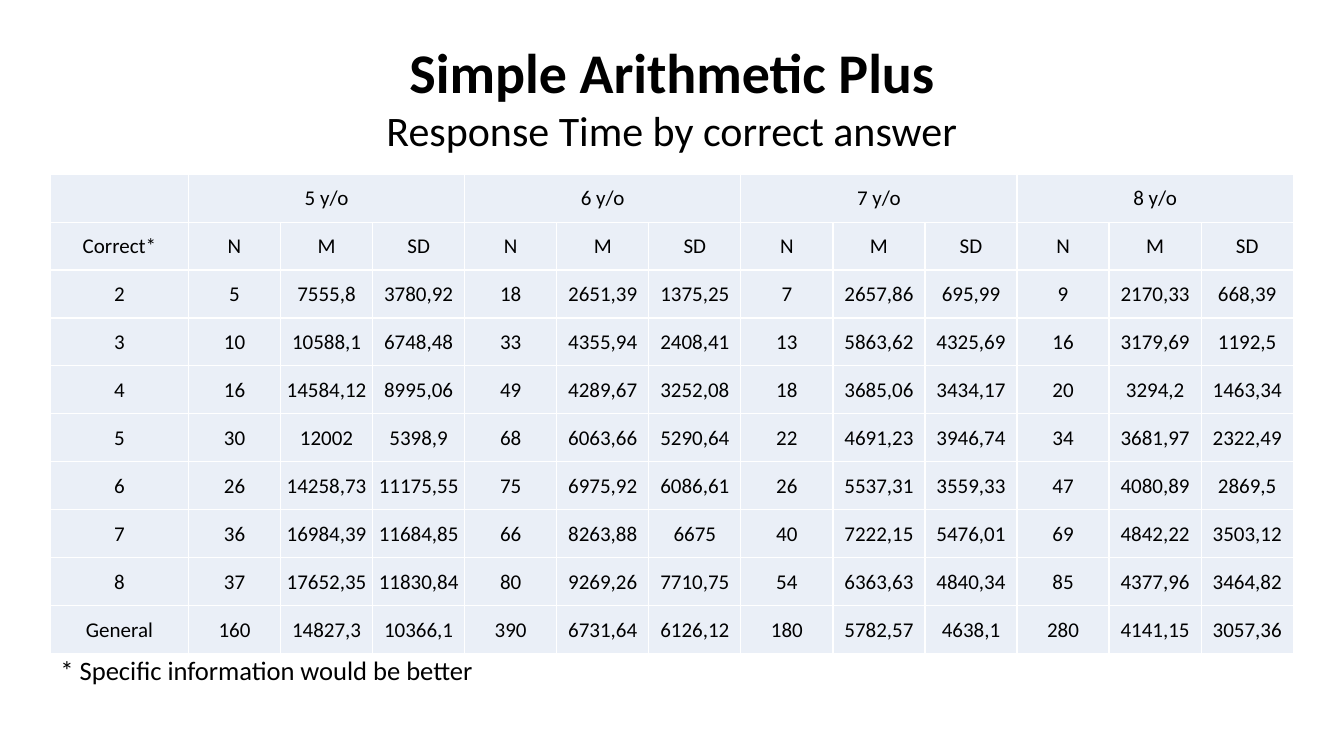
from pptx import Presentation
from pptx.dml.color import RGBColor
from pptx.enum.text import MSO_ANCHOR as Anchor, MSO_AUTO_SIZE as AutoSize, PP_ALIGN as Align
from pptx.oxml import parse_xml
from pptx.oxml.ns import nsdecls
from pptx.util import Cm, Pt

BLACK = RGBColor(0x00, 0x00, 0x00)
PALE_BLUE = RGBColor(0xEA, 0xEF, 0xF7)
WHITE = RGBColor(0xFF, 0xFF, 0xFF)

AGES = ["5 y/o", "6 y/o", "7 y/o", "8 y/o"]
MEASURES = ["N", "M", "SD"]
RESULTS = """
2 5 7555,8 3780,92 18 2651,39 1375,25 7 2657,86 695,99 9 2170,33 668,39
3 10 10588,1 6748,48 33 4355,94 2408,41 13 5863,62 4325,69 16 3179,69 1192,5
4 16 14584,12 8995,06 49 4289,67 3252,08 18 3685,06 3434,17 20 3294,2 1463,34
5 30 12002 5398,9 68 6063,66 5290,64 22 4691,23 3946,74 34 3681,97 2322,49
6 26 14258,73 11175,55 75 6975,92 6086,61 26 5537,31 3559,33 47 4080,89 2869,5
7 36 16984,39 11684,85 66 8263,88 6675 40 7222,15 5476,01 69 4842,22 3503,12
8 37 17652,35 11830,84 80 9269,26 7710,75 54 6363,63 4840,34 85 4377,96 3464,82
General 160 14827,3 10366,1 390 6731,64 6126,12 180 5782,57 4638,1 280 4141,15 3057,36
"""


class SlideBuilder:
    """Hold the text style and the current slide, and add its elements."""

    font_name = "Calibri"
    text_color = BLACK

    def __init__(self, page):
        self.page = page

    def apply(self, target, values):
        for name, value in values.items():
            setattr(target, name, value)

    def add_text(self, para, text, size, bold=False, **layout):
        self.apply(para, layout)
        span = para.add_run()
        span.text = text
        self.apply(span.font, {"name": self.font_name, "size": Pt(size), "bold": bold})
        span.font.color.rgb = self.text_color

    def place(self, box, left, top, width, height, anchor):
        self.apply(box, {"left": Cm(left), "top": Cm(top), "width": Cm(width), "height": Cm(height)})
        frame = box.text_frame
        self.apply(frame, {"word_wrap": True, "auto_size": AutoSize.NONE, "vertical_anchor": anchor})
        return frame

    def title(self, heading, subheading):
        frame = self.place(self.page.shapes.title, 8.3, 0.81, 17.27, 3.25, Anchor.MIDDLE)
        self.add_text(frame.paragraphs[0], heading, 40, True, alignment=Align.CENTER)
        self.add_text(frame.add_paragraph(), subheading, 30, alignment=Align.CENTER)

    def footnote(self, text):
        frame = self.place(self.page.placeholders[1], 1.27, 16.43, 15.57, 2.97, Anchor.TOP)
        para = frame.paragraphs[0]
        self.add_text(para, text, 19, line_spacing=0.9, space_before=Pt(10))
        properties = para._p.get_or_add_pPr()
        properties.set("marL", "0")
        properties.set("indent", "0")
        properties.append(parse_xml(f"<a:buNone {nsdecls('a')}/>"))

    def cell(self, cell, text):
        self.apply(cell, {
            "margin_left": Cm(0.03), "margin_right": Cm(0.03), "margin_top": Cm(0.03),
            "margin_bottom": Cm(0), "vertical_anchor": Anchor.MIDDLE,
        })
        properties = cell._tc.get_or_add_tcPr()
        for side in ("lnL", "lnR", "lnT", "lnB"):
            properties.append(parse_xml(
                f'<a:{side} {nsdecls("a")} w="{Pt(1)}"><a:solidFill>'
                f'<a:srgbClr val="{WHITE}"/></a:solidFill></a:{side}>'
            ))
        cell.fill.solid()
        cell.fill.fore_color.rgb = PALE_BLUE
        if text:
            self.add_text(cell.text_frame.paragraphs[0], text, 15, alignment=Align.CENTER)

    def table(self, rows, group_size):
        columns = len(rows[0])
        table = self.page.shapes.add_table(
            len(rows), columns, Cm(1.27), Cm(4.39), Cm(31.32), Cm(12.07)
        ).table
        self.apply(table, {"first_row": False, "horz_banding": False})
        for index, column in enumerate(table.columns):
            column.width = Cm(2.32) if index else Cm(3.48)
        for row, texts in zip(table.rows, rows):
            for cell, text in zip(row.cells, texts):
                self.cell(cell, text)
        for first in range(1, columns, group_size):
            table.cell(0, first).merge(table.cell(0, first + group_size - 1))


def main():
    deck = Presentation()
    deck.slide_width, deck.slide_height = Cm(33.87), Cm(19.05)
    builder = SlideBuilder(deck.slides.add_slide(deck.slide_layouts[1]))
    age_row = [""] + [text for age in AGES for text in (age, "", "")]
    measure_row = ["Correct*"] + MEASURES * len(AGES)
    result_rows = [line.split() for line in RESULTS.strip().splitlines()]
    builder.title("Simple Arithmetic Plus", "Response Time by correct answer")
    builder.table([age_row, measure_row] + result_rows, len(MEASURES))
    builder.footnote("* Specific information would be better")
    deck.save("out.pptx")


if __name__ == "__main__":
    main()
